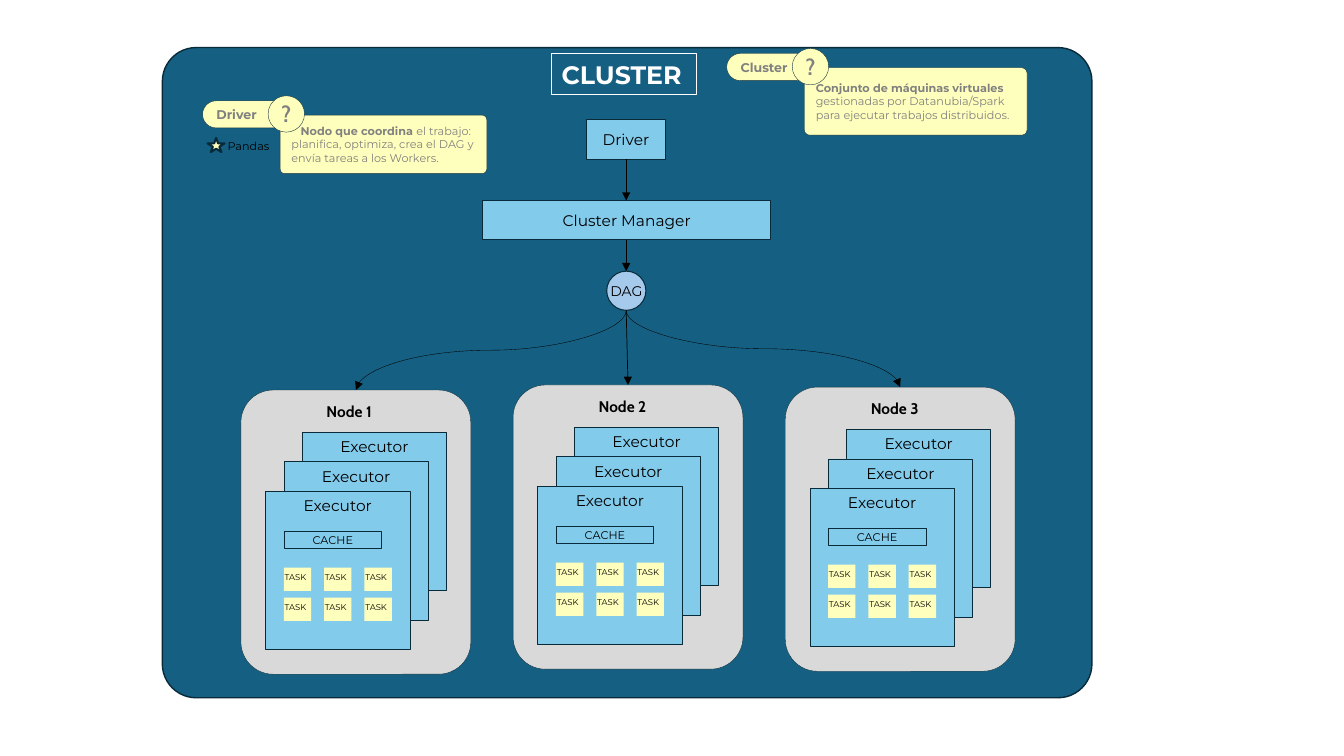
from lxml import etree
from pptx import Presentation
from pptx import util as u
from pptx.dml import color
from pptx.enum import shapes, text
from pptx.oxml import ns

COLORS = {
    "cluster": "156082", "box": "83CBEB", "dag": "A6CAEC", "node": "D9D9D9",
    "note": "FFFFBD", "outline": "092A39", "ink": "000000", "muted": "808080",
    "white": "FFFFFF",
}
KIND = shapes.MSO_SHAPE
ANCHOR = text.MSO_ANCHOR
ALIGN = text.PP_ALIGN
NODE_TOPS = (278.6, 275, 276.5)
NODE_LEFT, NODE_STEP = 172.1, 194.4
NODE_WIDTH, NODE_HEIGHT = 164.2, 203
NO_MARGINS = {"margin_left": 0, "margin_right": 0, "margin_top": 0, "margin_bottom": 0}
LABEL = {"size": 11}
NOTE = {"size": 8, "color": "muted"}
MARK = {"size": 16, "color": "muted", "bold": True, "name": "Cabin"}


def rgb(name):
    return color.RGBColor.from_string(COLORS[name])


def points(*values):
    return [u.Pt(value) for value in values]


def apply(target, values):
    for name, value in values.items():
        setattr(target, name, value)


def set_font(font, values):
    values = {"name": "Montserrat", "bold": False, "color": "ink", **values}
    font.color.rgb = rgb(values.pop("color"))
    values["size"] = u.Pt(values["size"])
    apply(font, values)


def write(shape, runs, align=ALIGN.CENTER, frame=None, indent=0):
    text_frame = shape.text_frame
    apply(text_frame, {"word_wrap": True, "vertical_anchor": ANCHOR.MIDDLE, **(frame or {})})
    paragraph = text_frame.paragraphs[0]
    paragraph.alignment = align
    if indent:
        paragraph._p.get_or_add_pPr().set("indent", str(u.Pt(indent)))
    for wording, values in runs:
        run = paragraph.add_run()
        run.text = wording
        set_font(run.font, values)


def set_line(line, name, width):
    line.color.rgb = rgb(name)
    line.width = u.Pt(width)


def add_box(container, kind, bounds, fill, width=0, adjust=None):
    shape = container.add_shape(kind, *points(*bounds))
    shape.shadow.inherit = False
    shape.fill.solid()
    shape.fill.fore_color.rgb = rgb(fill)
    if width:
        set_line(shape.line, "outline", width)
    else:
        shape.line.fill.background()
    if adjust is not None:
        shape.adjustments[0] = adjust
    return shape


def add_label(container, bounds, wording, values):
    label = container.add_textbox(*points(*bounds))
    write(label, [(wording, values)], ALIGN.LEFT, {"vertical_anchor": ANCHOR.TOP})


def finish_arrow(connector, width):
    set_line(connector.line, "ink", width)
    line = connector.line._get_or_add_ln()
    etree.SubElement(line, ns.qn("a:tailEnd"), type="triangle")
    etree.SubElement(connector._element.spPr, ns.qn("a:effectLst"))


def add_arrow(slide, start, end):
    arrow = slide.shapes.add_connector(shapes.MSO_CONNECTOR.STRAIGHT, *points(*start, *end))
    finish_arrow(arrow, 0.5)


def add_curved_arrow(slide, start, end):
    middle_x, middle_y = (start[0] + end[0]) / 2, (start[1] + end[1]) / 2
    half_span, half_drop = abs(end[0] - start[0]) / 2, (end[1] - start[1]) / 2
    leftward = end[0] < start[0]
    reach = half_drop if leftward else -half_drop
    arrow = slide.shapes.add_connector(
        shapes.MSO_CONNECTOR.CURVE,
        *points(middle_x - reach, middle_y - half_span, middle_x + reach, middle_y + half_span))
    transform = arrow._element.spPr.find(ns.qn("a:xfrm"))
    transform.set("rot", str((90 if leftward else 270) * 60000))
    finish_arrow(arrow, 0.25)


def add_node(slide, number, left, top):
    node = slide.shapes.add_group_shape().shapes
    add_box(node, KIND.ROUNDED_RECTANGLE, (left, top, NODE_WIDTH, NODE_HEIGHT), "node", 0.25, 0.14)
    for layer in range(3):
        bounds = (left + 43.9 - 13.1 * layer, top + 30.2 + 21.1 * layer, 103, 113)
        executor = add_box(node, KIND.RECTANGLE, bounds, "box", 0.5)
        write(executor, [("Executor", LABEL)], frame={"vertical_anchor": ANCHOR.TOP})
    cache = add_box(node, KIND.RECTANGLE, (left + 30.8, top + 100.8, 69.8, 12.2), "box", 0.5)
    write(cache, [("CACHE", {"size": 8})], frame=NO_MARGINS)
    task_frame = {**NO_MARGINS, "margin_left": u.Pt(0.6), "margin_top": u.Pt(2.9),
                  "word_wrap": False, "vertical_anchor": ANCHOR.TOP}
    for row in range(2):
        for column in range(3):
            bounds = (left + 30.6 + 28.8 * column, top + 126.9 + 21.4 * row, 19.6, 16.6)
            task = add_box(node, KIND.RECTANGLE, bounds, "note")
            write(task, [("TASK", {"size": 6})], ALIGN.LEFT, task_frame)
    add_label(node, (left + 54, top + 5, 60, 21), f"Node {number}",
              {"size": 11, "name": "Cabin", "bold": True})


def add_note(slide, term, left, top, size, lead, detail, indent=0):
    note = slide.shapes.add_group_shape().shapes
    pill = add_box(note, KIND.ROUNDED_RECTANGLE, (left, top, 59.8, 19.4), "note", 0.25, 0.5)
    write(pill, [(term, {"size": 9, "color": "muted", "bold": True})], ALIGN.LEFT)
    card = add_box(note, KIND.ROUNDED_RECTANGLE, (left + 55.4, top + 10.2, *size), "note", 0.25, 0.08)
    write(card, [(lead, {**NOTE, "bold": True}), (detail, NOTE)], ALIGN.LEFT, indent=indent)
    mark = add_box(note, KIND.OVAL, (left + 46.8, top - 3.6, 26, 26), "note", 0.25)
    write(mark, [("?", MARK)], frame=NO_MARGINS)


def add_title(slide):
    title = slide.shapes.title
    apply(title, dict(zip(("left", "top", "width", "height"), points(393.9, 38.2, 103.3, 29.4))))
    title.element.getparent().append(title.element)
    set_line(title.line, "white", 0.75)
    write(title, [("CLUSTER", {"size": 18, "color": "white", "bold": True})], ALIGN.LEFT,
          {"word_wrap": False, "auto_size": text.MSO_AUTO_SIZE.NONE})


def main():
    presentation = Presentation()
    presentation.slide_width, presentation.slide_height = points(960, 540)
    slide = presentation.slides.add_slide(presentation.slide_layouts[5])
    add_box(slide.shapes, KIND.ROUNDED_RECTANGLE, (116, 34, 664, 464.4), "cluster", 1, 0.052)

    for wording, bounds in (("Driver", (419.2, 85.7, 56, 28.1)),
                            ("Cluster Manager", (344.7, 143.3, 206, 28.1))):
        box = add_box(slide.shapes, KIND.RECTANGLE, bounds, "box", 0.75)
        write(box, [(wording, LABEL)])
    dag = add_box(slide.shapes, KIND.OVAL, (433.4, 193.7, 28, 28), "dag", 0.75)
    write(dag, [("DAG", {"size": 10})], frame={**NO_MARGINS, "word_wrap": False})

    for index, top in enumerate(NODE_TOPS):
        add_node(slide, index + 1, NODE_LEFT + NODE_STEP * index, top)

    axis, dag_bottom = 447.3, 221.7
    add_arrow(slide, (axis, 113.8), (axis, 143.3))
    add_arrow(slide, (axis, 171.4), (axis, 193.7))
    add_curved_arrow(slide, (axis, dag_bottom), (254.2, NODE_TOPS[0]))
    add_curved_arrow(slide, (axis, dag_bottom), (643, NODE_TOPS[2]))
    add_arrow(slide, (axis, dag_bottom), (448.6, NODE_TOPS[1]))

    add_title(slide)
    add_note(slide, "Cluster", 519.1, 38.2, (159.1, 48.2), "Conjunto de máquinas virtuales ",
             "gestionadas por Datanubia/Spark para ejecutar trabajos distribuidos.")
    add_note(slide, "Driver", 144.7, 72, (147.6, 41.8), "Nodo que coordina ",
             "el trabajo: planifica, optimiza, crea el DAG y envía tareas a los Workers.", 6.6)
    add_box(slide.shapes, KIND.STAR_5_POINT, (148.3, 98.6, 12.2, 10.1), "note", 1.5)
    add_label(slide.shapes, (155.5, 95.8, 89.3, 17.3), "Pandas", {"size": 8})
    presentation.save("out.pptx")


if __name__ == "__main__":
    main()
